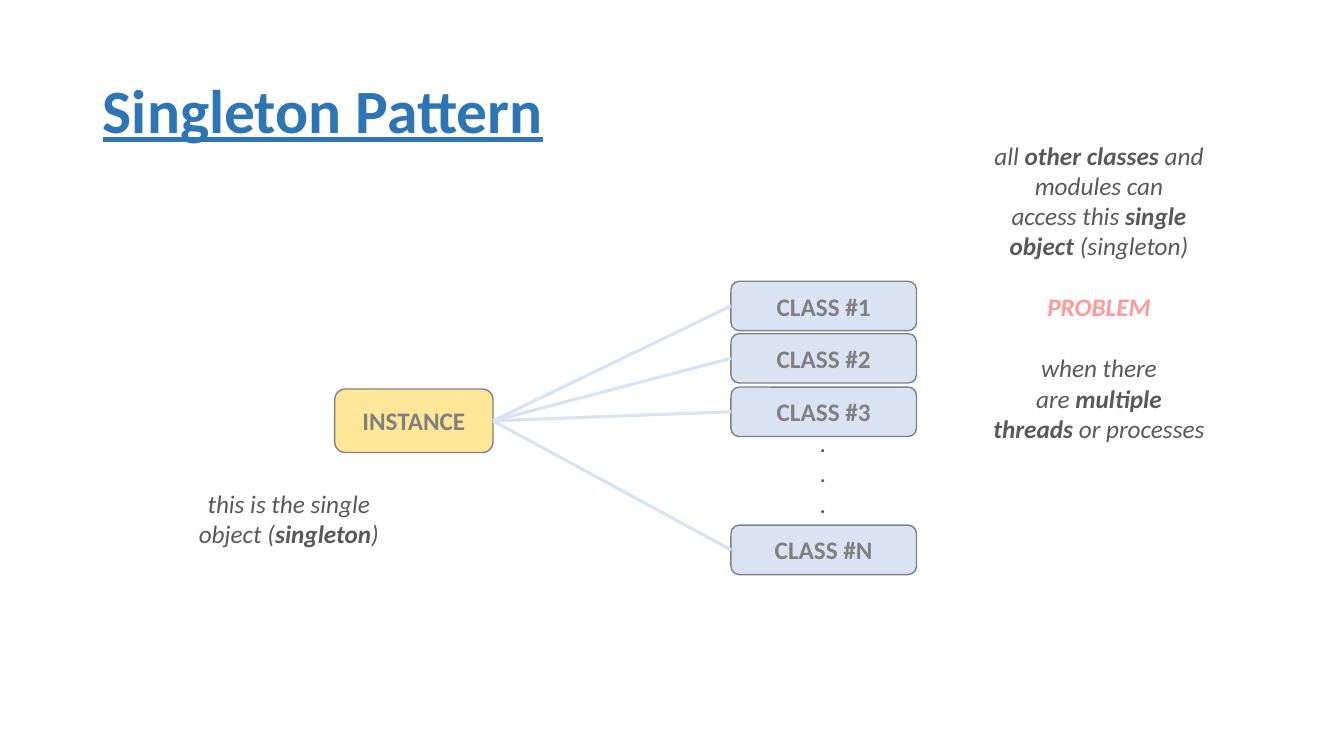
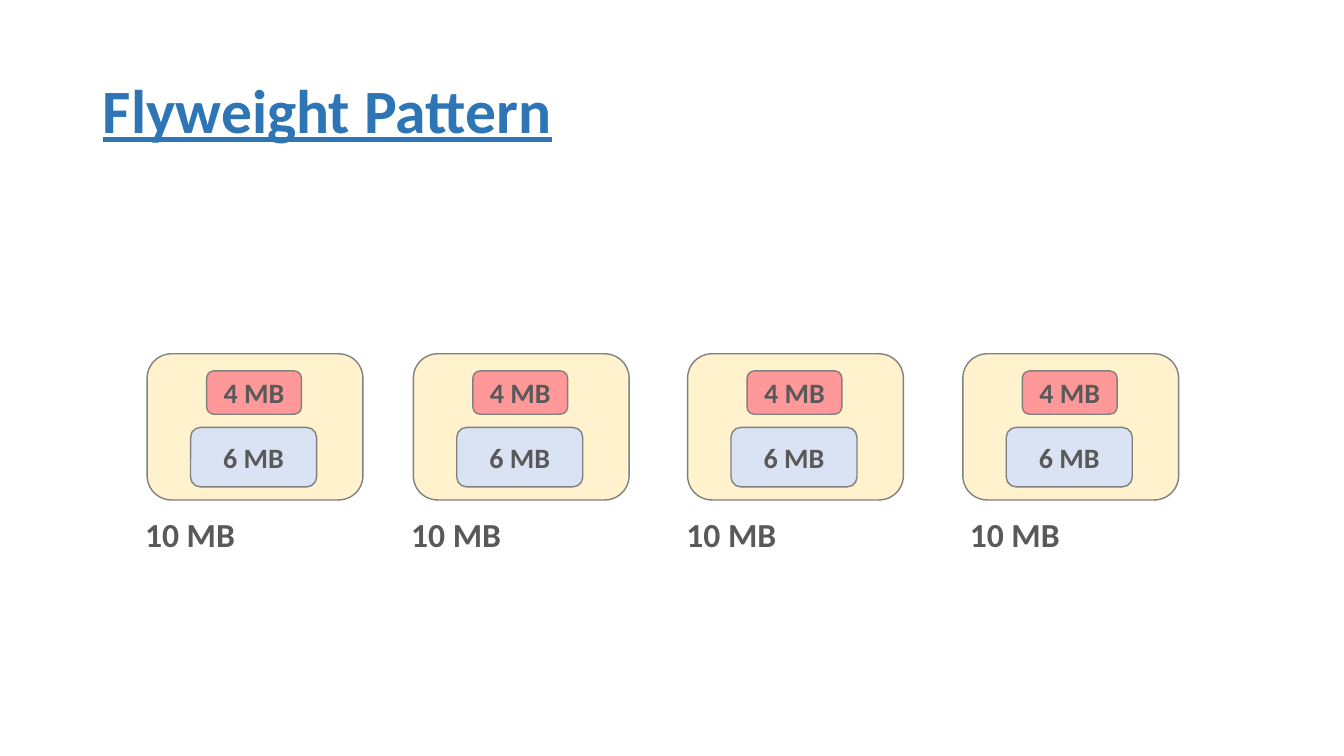
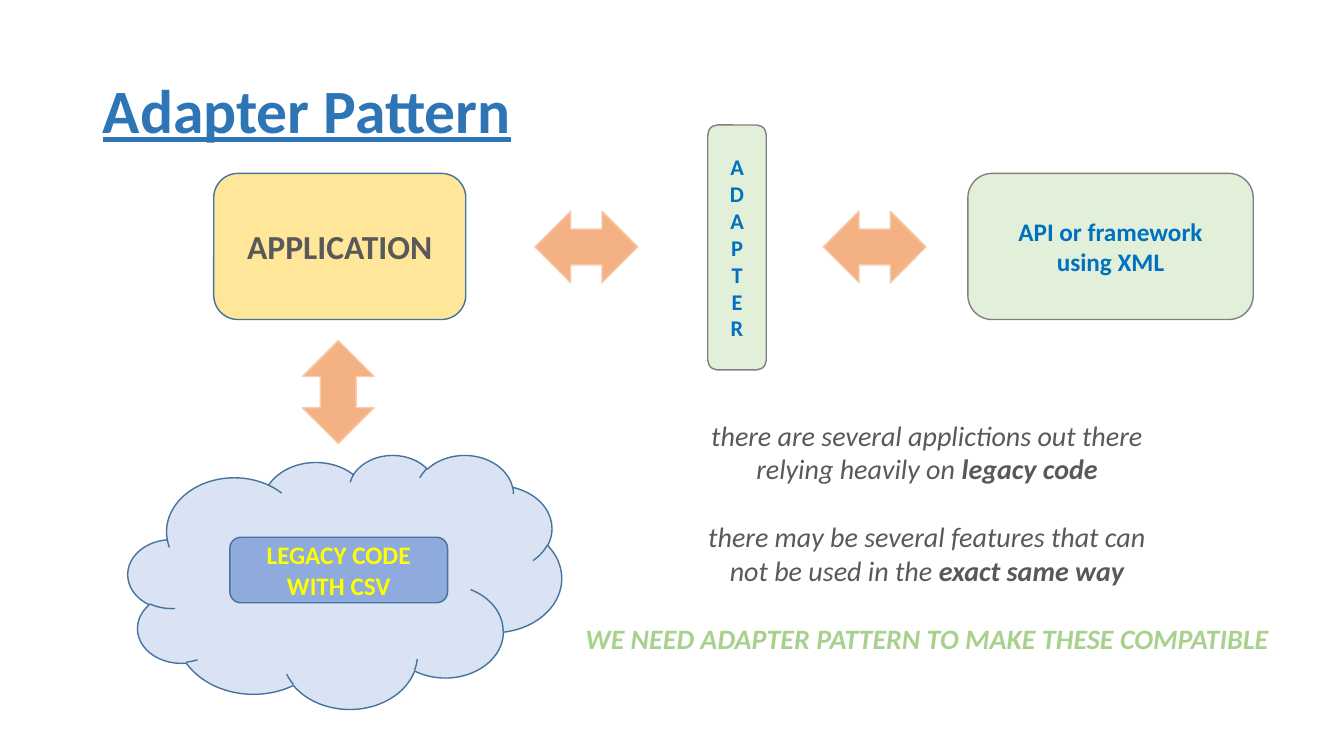
from lxml.etree import SubElement
from pptx import Presentation
from pptx.dml.color import RGBColor
from pptx.enum.shapes import MSO_CONNECTOR, MSO_SHAPE
from pptx.enum.text import MSO_ANCHOR, MSO_AUTO_SIZE, PP_ALIGN
from pptx.oxml.ns import qn
from pptx.util import Inches, Pt

BLUE, PALE, GRAY, DARK = "2E75B6", "DAE3F3", "808080", "595959"
GOLD, CREAM, ROSE, MINT = "FFE699", "FFF2CC", "FF9999", "E2F0D9"
NAVY, PEACH, SKY = "43739E", "F4B183", "0070C0"
ROUND, ARROW = MSO_SHAPE.ROUNDED_RECTANGLE, MSO_SHAPE.UP_DOWN_ARROW
TITLE = {"size": 44, "color": BLUE, "bold": True, "underline": True}


def rgb(code):
    return RGBColor.from_string(code)


class Deck:
    """Holds the presentation, the shared style and the current slide."""

    font = "Calibri"

    def __init__(self):
        self.prs = Presentation()
        self.prs.slide_width = Inches(13.33)
        self.prs.slide_height = Inches(7.5)
        self.slide = None

    def page(self, text):
        self.slide = self.prs.slides.add_slide(self.prs.slide_layouts[5])
        title = self.slide.shapes.title
        title.left, title.top, title.width, title.height = map(
            Inches, (0.92, 0.4, 11.5, 1.45))
        title.text_frame.auto_size = MSO_AUTO_SIZE.NONE
        self.fill_text(title, [text], TITLE, PP_ALIGN.LEFT)
        title.text_frame.paragraphs[0].line_spacing = 0.9

    def fill_text(self, shape, lines, style, align=PP_ALIGN.CENTER):
        """Fill a shape; *stars* mark bold, a (text, color) pair opens a block."""
        frame = shape.text_frame
        frame.vertical_anchor = MSO_ANCHOR.MIDDLE
        for num, line in enumerate(lines):
            para = frame.paragraphs[0] if num == 0 else frame.add_paragraph()
            para.alignment = align
            look = dict(style)
            if isinstance(line, tuple):
                line, look["color"] = line
                para.space_before = Pt(1.22 * look["size"])
            for part, text in enumerate(line.split("*")):
                if text:
                    run = para.add_run()
                    run.text = text
                    self.set_font(run.font, look, part % 2 == 1)

    def set_font(self, font, look, strong):
        values = {"name": self.font, **look}
        font.color.rgb = rgb(values.pop("color"))
        values["size"] = Pt(values["size"])
        values["bold"] = strong or look.get("bold", False)
        for key, value in values.items():
            setattr(font, key, value)

    def shape(self, kind, box, fill, line=GRAY, turn=0):
        item = self.slide.shapes.add_shape(kind, *map(Inches, box))
        item.shadow.inherit = False
        item.fill.solid()
        item.fill.fore_color.rgb = rgb(fill)
        item.line.color.rgb = rgb(line)
        item.line.width = Pt(1)
        item.rotation = turn
        return item

    def label(self, box, fill, lines, size, color, line=GRAY):
        item = self.shape(ROUND, box, fill, line)
        self.fill_text(item, lines, {"size": size, "color": color, "bold": True})
        return item

    def note(self, box, lines, align=PP_ALIGN.CENTER, size=18, **style):
        item = self.slide.shapes.add_textbox(*map(Inches, box))
        item.text_frame.word_wrap = False
        item.text_frame.auto_size = MSO_AUTO_SIZE.SHAPE_TO_FIT_TEXT
        self.fill_text(item, lines, {"size": size, "color": DARK, **style}, align)
        item.text_frame.vertical_anchor = MSO_ANCHOR.TOP

    def link(self, start, end):
        """Join the left side of start to the right side of end."""
        line = self.slide.shapes.add_connector(MSO_CONNECTOR.STRAIGHT, 0, 0, 0, 0)
        line.begin_connect(start, 1)
        line.end_connect(end, 3)
        line.line.color.rgb = rgb(PALE)
        line.line.width = Pt(2.25)
        SubElement(line._element.spPr, qn("a:effectLst"))


def single(deck):
    deck.page("Singleton Pattern")
    # One instance linked to every class
    hub = deck.label((3.32, 3.86, 1.57, 0.63), GOLD, ["INSTANCE"], 18, GRAY)
    for mark, top in zip("123N", (2.79, 3.31, 3.84, 5.21)):
        box = deck.label((7.25, top, 1.84, 0.49), PALE, [f"CLASS #{mark}"], 18, GRAY)
        deck.link(box, hub)
    deck.note((8.03, 4.19, 0.27, 1.01), "...", PP_ALIGN.LEFT)
    # Remarks
    deck.note((1.86, 4.79, 2.01, 0.71),
              ["this is the single", "object (*singleton*)"], italic=True)
    deck.note((9.72, 1.34, 2.36, 3.13), [
        "all *other classes* and", "modules can", "access this *single*",
        "*object* (singleton)", ("*PROBLEM*", ROSE), ("when there", DARK),
        "are *multiple*", "*threads* or processes"], italic=True)


def flyweight(deck):
    deck.page("Flyweight Pattern")
    # Four objects, each with its two parts and its total
    for left, edge in zip((1.46, 4.1, 6.82, 9.55), (1.34, 3.98, 6.71, 9.52)):
        deck.shape(ROUND, (left, 3.51, 2.14, 1.45), CREAM)
        deck.label((left + 0.59, 3.68, 0.94, 0.43), ROSE, ["4 MB"], 20, DARK)
        deck.label((left + 0.43, 4.24, 1.25, 0.59), PALE, ["6 MB"], 20, DARK)
        deck.note((edge, 5.05, 1.1, 0.5), ["10 MB"], PP_ALIGN.LEFT, 24, bold=True)


def adapter(deck):
    deck.page("Adapter Pattern")
    # Application and its legacy code
    deck.label((2.12, 1.72, 2.5, 1.45), GOLD, ["APPLICATION"], 24, DARK, NAVY)
    deck.shape(MSO_SHAPE.CLOUD, (1.27, 4.51, 4.3, 2.52), PALE, NAVY)
    deck.label((2.28, 5.33, 2.16, 0.65), "8FAADC",
               ["LEGACY CODE", "WITH CSV"], 18, "FFFF00", NAVY)
    # Adapter and the foreign interface
    deck.label((9.6, 1.72, 2.83, 1.45), MINT,
               ["API or framework", "using XML"], 18, SKY)
    deck.label((7.02, 1.24, 0.58, 2.43), MINT, "ADAPTER", 16, SKY)
    # Two-way arrows
    for left, top, turn in ((5.46, 1.94, 90), (8.32, 1.94, 90), (3, 3.38, 180)):
        deck.shape(ARROW, (left, top, 0.71, 1.02), PEACH, "F8CBAD", turn)
    # Remarks
    deck.note((5.68, 4.1, 7.03, 2.46), [
        "there are several applictions out there",
        "relying heavily on *legacy code*",
        ("there may be several features that can", DARK),
        "not be used in the *exact same way*",
        ("*WE NEED ADAPTER PATTERN TO MAKE THESE COMPATIBLE*", "A9D18E")],
        size=20, italic=True)


def main():
    deck = Deck()
    for build in (single, flyweight, adapter):
        build(deck)
    deck.prs.save("out.pptx")


if __name__ == "__main__":
    main()
